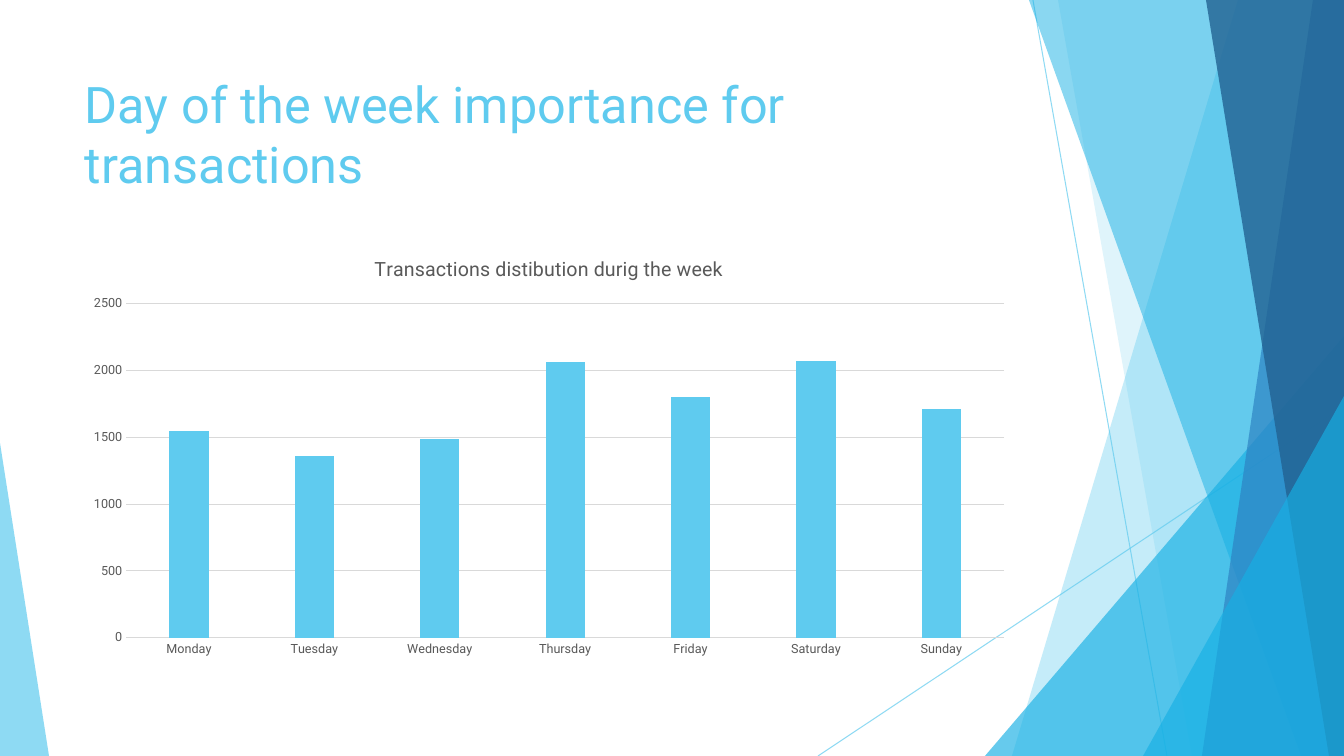
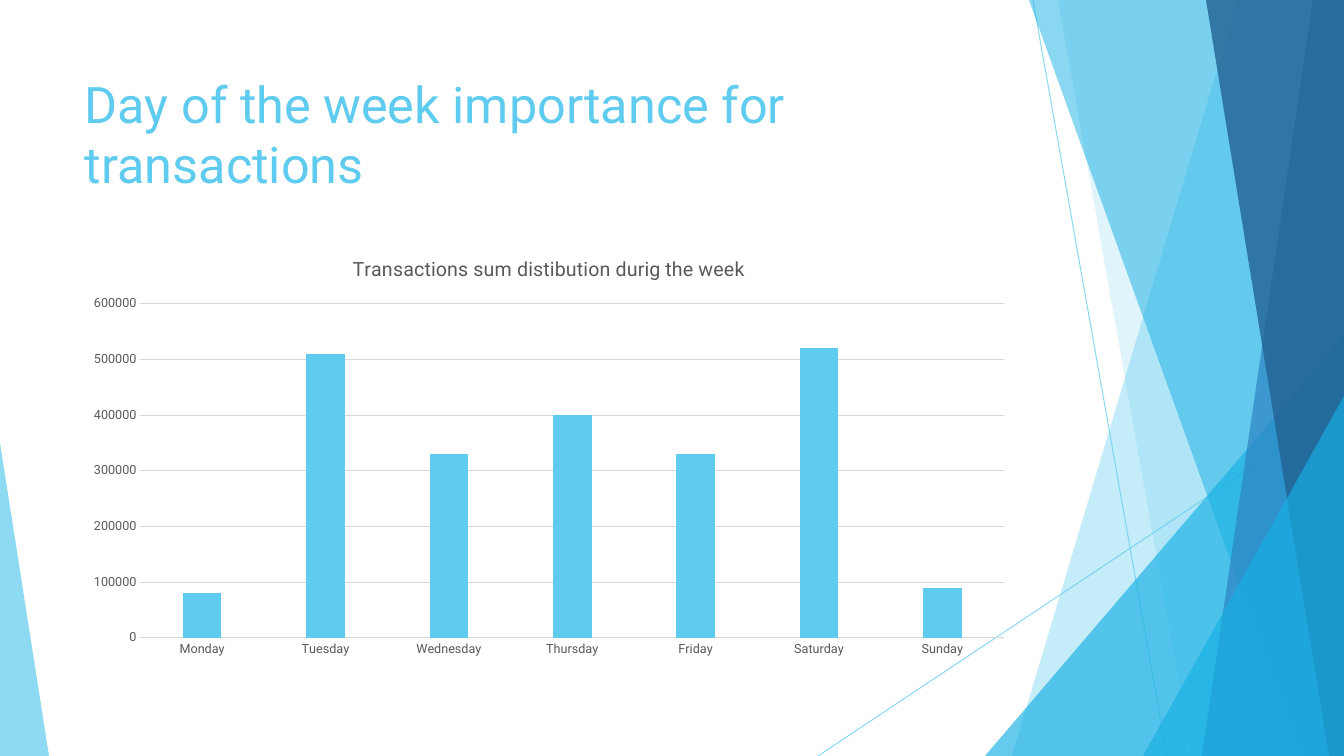
import lxml.etree
import pptx
import pptx.util
import pptx.dml.color
import pptx.chart.data
import pptx.enum.chart
import pptx.enum.shapes
import pptx.enum.text
import pptx.oxml.ns
from dataclasses import dataclass

HEAD = "Day of the week importance for transactions"
DAYS = ["Monday", "Tuesday", "Wednesday", "Thursday", "Friday", "Saturday", "Sunday"]
# chart title, values, axis top, axis step
CHARTS = [
    ("Transactions distibution durig the week",
     [1550, 1360, 1490, 2060, 1800, 2070, 1710], 2500, 500),
    ("Transactions sum distibution durig the week",
     [80000, 510000, 330000, 400000, 330000, 520000, 90000], 600000, 100000),
]


@dataclass(frozen=True)
class Theme:
    """Colours, font and type sizes of all slides."""
    sky: str = "5FCBEF"
    cyan: str = "17B0E4"
    blue: str = "2E83C3"
    navy: str = "226292"
    text: str = "595959"
    grid: str = "D9D9D9"
    font: str = "Roboto"
    head: float = 36
    title: float = 14
    label: float = 9
    rule: float = 0.75


T = Theme()
WIDE, HIGH = 1344, 756
SCALE = 914400 / 100.8
HEAD_BOX = (75, 68, 948, 145)
CHART_BOX = (75, 238, 948, 427)

# Lines: start and end
LINES = [(1033, 0, 1167, HIGH), (WIDE, 406, 818, HIGH)]
# Bands run to the right edge: top x, bottom x, colour, opacity
# Wedges stand on the bottom edge: left, top, width, apex, colour, opacity
DECOR = [
    ("band", (1238, 1012), T.sky, 36),
    ("band", (1058, 1192), T.sky, 20),
    ("wedge", (985, 336, 359, 1), T.cyan, 66),
    ("band", (1029, 1301), T.cyan, 50),
    ("band", (1313, 1202), T.blue, 70),
    ("band", (1206, 1329), T.navy, 80),
    ("wedge", (1143, 396, 201, 1), T.cyan, 66),
    ("wedge", (0, 443, 49, 0), T.sky, 70),
]


def px(*vals):
    """Turn pixels into EMU."""
    return [pptx.util.Emu(round(v * SCALE)) for v in vals]


def rgb(code):
    """Make a colour from its hex code."""
    return pptx.dml.color.RGBColor.from_string(code)


def put(thing, **vals):
    """Set each named value on an object."""
    for name, val in vals.items():
        setattr(thing, name, val)


def set_font(font, size, code):
    """Give a font its face, size and colour."""
    put(font, name=T.font, size=pptx.util.Pt(size), bold=False)
    font.color.rgb = rgb(code)


def set_line(line, code):
    """Give a line its colour and width."""
    line.color.rgb = rgb(code)
    line.width = pptx.util.Pt(T.rule)


def add_node(node, tag, **vals):
    """Append an XML child with its attributes."""
    lxml.etree.SubElement(node, pptx.oxml.ns.qn(tag), **vals)


def fade(shape, share):
    """Set the opacity of a shape's colour in percent."""
    for node in shape.element.spPr.iter(pptx.oxml.ns.qn("a:srgbClr")):
        add_node(node, "a:alpha", val=str(share * 1000))


def add_line(slide, ends):
    """Draw one thin, faint line."""
    line = slide.shapes.add_connector(
        pptx.enum.shapes.MSO_CONNECTOR.STRAIGHT, *px(*ends))
    set_line(line.line, T.sky)
    fade(line, 70)
    add_node(line.element.spPr, "a:effectLst")


def band(slide, top, low):
    """Draw a slanted band that fills up to the right edge."""
    form = slide.shapes.build_freeform(top, 0, scale=SCALE)
    form.add_line_segments([(WIDE, 0), (WIDE, HIGH), (low, HIGH)], close=True)
    return form.convert_to_shape()


def wedge(slide, left, top, width, apex):
    """Draw a right triangle that stands on the bottom edge."""
    shape = slide.shapes.add_shape(
        pptx.enum.shapes.MSO_SHAPE.ISOSCELES_TRIANGLE,
        *px(left, top, width, HIGH - top))
    shape.adjustments[0] = apex
    return shape


def add_decor(slide):
    """Draw the lines and facets that all slides share."""
    for ends in LINES:
        add_line(slide, ends)
    makers = {"band": band, "wedge": wedge}
    for kind, spots, code, share in DECOR:
        shape = makers[kind](slide, *spots)
        shape.fill.solid()
        shape.fill.fore_color.rgb = rgb(code)
        shape.line.fill.background()
        shape.shadow.inherit = False
        fade(shape, share)


def add_head(slide, text):
    """Write the slide title."""
    frame = slide.shapes.add_textbox(*px(*HEAD_BOX)).text_frame
    put(frame, word_wrap=True, text=text,
        vertical_anchor=pptx.enum.text.MSO_ANCHOR.TOP)
    set_font(frame.paragraphs[0].runs[0].font, T.head, T.sky)


def add_bars(slide, title, vals, top, step):
    """Add the column chart with its title and axes."""
    data = pptx.chart.data.CategoryChartData()
    data.categories = DAYS
    data.add_series("Series 1", vals)
    chart = slide.shapes.add_chart(
        pptx.enum.chart.XL_CHART_TYPE.COLUMN_CLUSTERED, *px(*CHART_BOX), data).chart
    put(chart, has_legend=False, has_title=True)
    set_font(chart.font, T.label, T.text)

    frame = chart.chart_title.text_frame
    frame.text = title
    set_font(frame.paragraphs[0].runs[0].font, T.title, T.text)

    plot = chart.plots[0]
    put(plot, gap_width=219, overlap=-27, vary_by_categories=False)
    fill = plot.series[0].format.fill
    fill.solid()
    fill.fore_color.rgb = rgb(T.sky)

    none = pptx.enum.chart.XL_TICK_MARK.NONE
    for axis in (chart.category_axis, chart.value_axis):
        put(axis, major_tick_mark=none, minor_tick_mark=none)
        set_font(axis.tick_labels.font, T.label, T.text)
    set_line(chart.category_axis.format.line, T.grid)
    axis = chart.value_axis
    put(axis, minimum_scale=0, maximum_scale=top, major_unit=step,
        has_major_gridlines=True)
    set_line(axis.major_gridlines.format.line, T.grid)
    axis.format.line.fill.background()


def main():
    """Build and save the deck."""
    deck = pptx.Presentation()
    wide, high = px(WIDE, HIGH)
    put(deck, slide_width=wide, slide_height=high)
    for chart in CHARTS:
        slide = deck.slides.add_slide(deck.slide_layouts[6])
        add_decor(slide)
        add_head(slide, HEAD)
        add_bars(slide, *chart)
    deck.save("out.pptx")


main()
